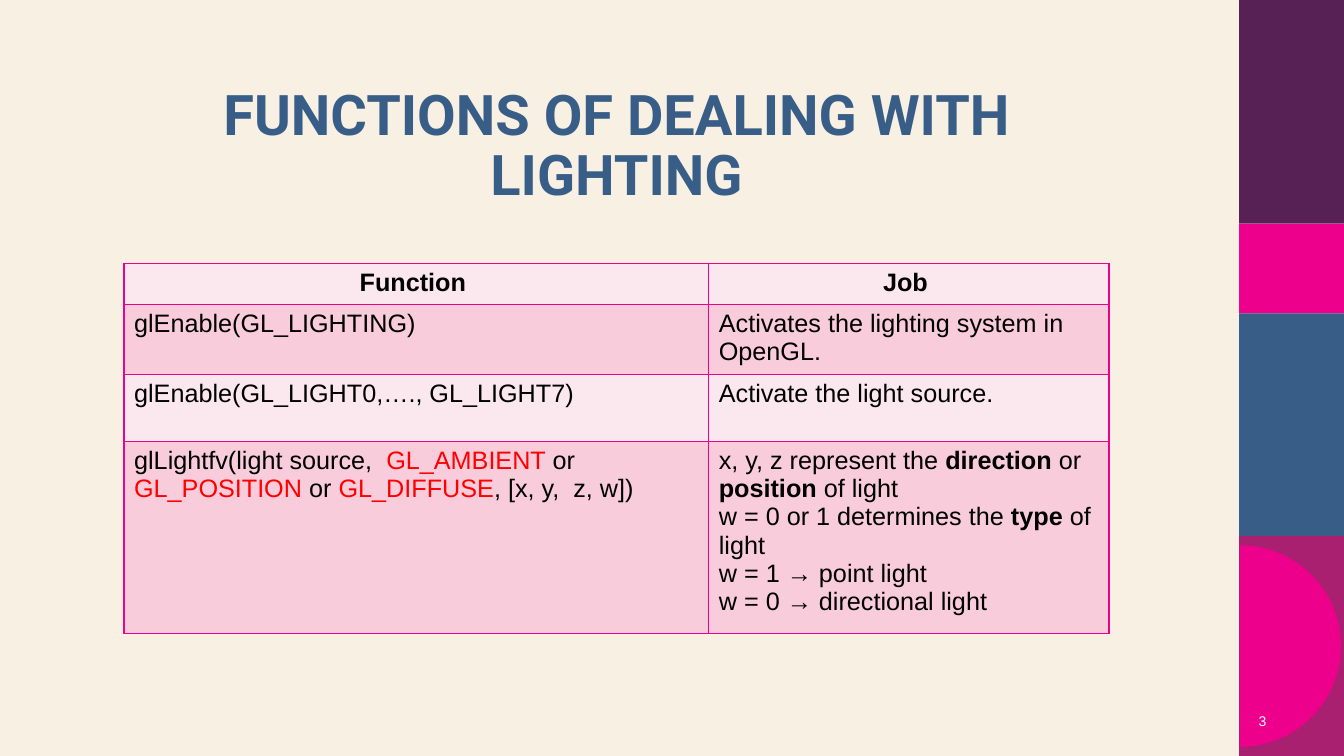
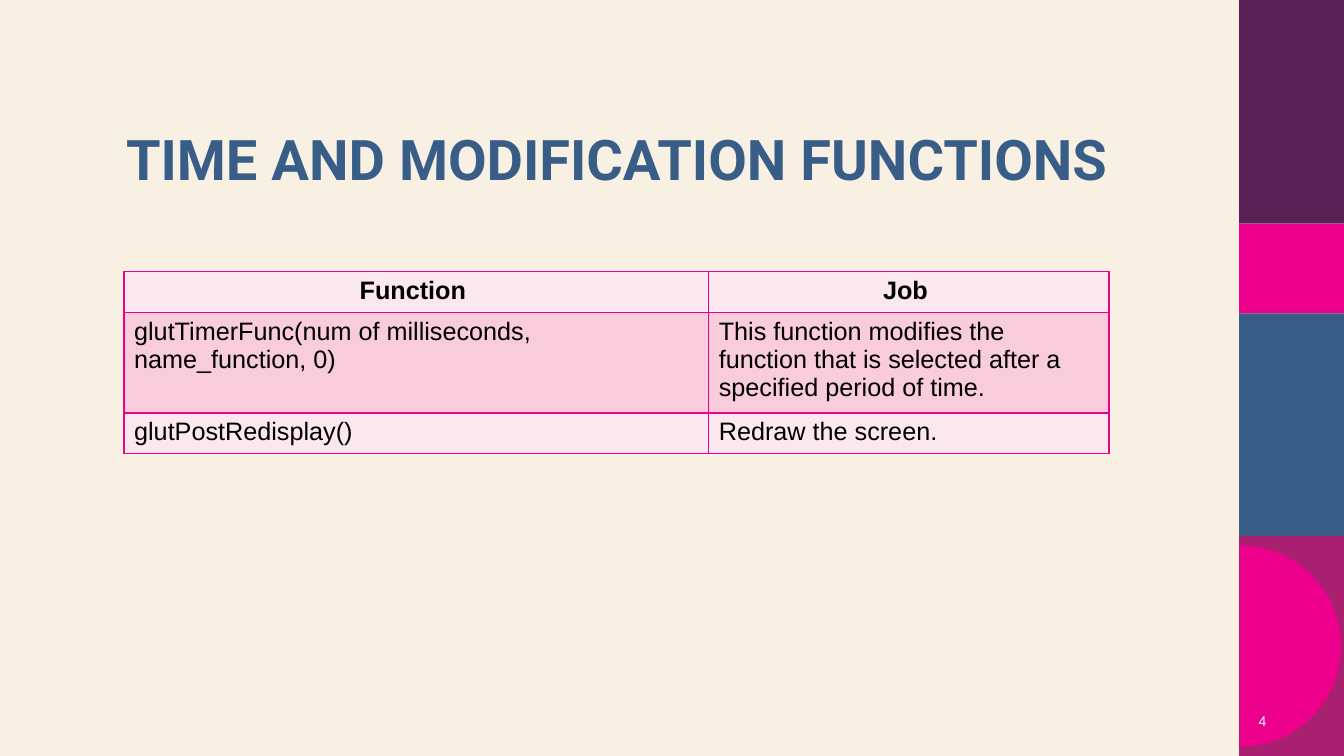
from math import cos, pi, sin

from lxml.etree import SubElement
from pptx import Presentation
from pptx.dml.color import RGBColor
from pptx.enum.shapes import MSO_SHAPE as Shape
from pptx.enum.text import MSO_ANCHOR as Anchor, MSO_AUTO_SIZE as AutoSize, PP_ALIGN as Align
from pptx.oxml.ns import qn
from pptx.util import Inches, Pt

WIDTH, HEIGHT = Inches(13.33), Inches(7.5)
CREAM, BLACK, WHITE, RED = "F8F0E3", "000000", "FFFFFF", "FF0000"
PINK, BLUE, PLUM, BERRY = "EC008C", "385E88", "582156", "AA2070"
ROW_FILLS = ["FBE7EE", "F8CCDA"]

# Side bands as (top, colour), in percent of the slide's height
BAND_LEFT = 92.2
BANDS = [(0, PLUM), (29.6, PINK), (41.47, BLUE), (70.9, BERRY)]
COLUMNS = [43.51, 29.78]
TITLE_FORMAT = {"name": "Roboto", "size": Pt(40), "bold": True}
NUMBER_FORMAT = {"name": "Arial", "size": Pt(10), "bold": False}
CELL_FORMAT = {"name": "Arial", "size": Pt(18)}

# Bars enclose emphasis: red in the function column, bold in the job column
PAGES = [
    {
        "title": "FUNCTIONS OF DEALING WITH LIGHTING",
        "title_top": 10.8, "title_height": 19.87, "table_top": 34.85,
        "rows": [
            (5.4, "Function ", "Job "),
            (8.82, "glEnable(GL_LIGHTING)", "Activates the lighting system in OpenGL."),
            (8.82, "glEnable(GL_LIGHT0,…., GL_LIGHT7)", "Activate the light source."),
            (23.7,
             "glLightfv(light source,  |GL_AMBIENT |or |GL_POSITION |or |GL_DIFFUSE|, [x, y,  z, w])",
             "x, y, z represent the |direction| or |position| of light\n"
             "w = 0 or 1 determines the |type |of light\n"
             "w = 1 → point light\n"
             "w = 0 → directional light"),
        ],
    },
    {
        "title": "TIME AND MODIFICATION FUNCTIONS",
        "title_top": 16.8, "title_height": 11.33, "table_top": 35.9,
        "rows": [
            (5.4, "Function ", "Job "),
            (12.6, "glutTimerFunc(num of milliseconds, name_function, 0)",
             "This function modifies the function that is selected after a specified period of time."),
            (5.4, "glutPostRedisplay()", "Redraw the screen."),
        ],
    },
]


def place(left, top, width, height):
    """Turn percentages of the slide into lengths."""
    return (int(WIDTH * left / 100), int(HEIGHT * top / 100),
            int(WIDTH * width / 100), int(HEIGHT * height / 100))


def add_spans(para, text, color, font_format, emphasis=None):
    """Write text as runs; every second part between bars is emphasised."""
    for index, part in enumerate(text.split("|")):
        span = para.add_run()
        span.text = part
        look = {**font_format, **(emphasis if emphasis and index % 2 else {})}
        span.font.color.rgb = RGBColor.from_string(look.pop("color", color))
        for name, value in look.items():
            setattr(span.font, name, value)


deck = Presentation()
deck.slide_width, deck.slide_height = WIDTH, HEIGHT
background = deck.slide_master.background.fill
background.solid()
background.fore_color.rgb = RGBColor.from_string(CREAM)

for number, content in enumerate(PAGES, start=3):
    page = deck.slides.add_slide(deck.slide_layouts[5])

    # Side bands, each reaching down to the next
    ornaments = []
    bottoms = [top for top, _ in BANDS[1:]] + [100]
    for (top, color), bottom in zip(BANDS, bottoms):
        area = place(BAND_LEFT, top, 100 - BAND_LEFT, bottom - top)
        ornaments.append((page.shapes.add_shape(Shape.RECTANGLE, *area), color))

    # Half disc on the lowest band
    center_x, center_y, radius = Inches(12.3), Inches(6.41), Inches(1)
    arc = [(center_x + radius * cos(angle), center_y + radius * sin(angle))
           for angle in (pi * (step / 60 - 0.5) for step in range(61))]
    outline = page.shapes.build_freeform(*map(round, arc[0]))
    outline.add_line_segments(arc[1:], close=True)
    ornaments.append((outline.convert_to_shape(), PINK))

    for shape, color in ornaments:
        shape.shadow.inherit = False
        shape.fill.solid()
        shape.fill.fore_color.rgb = RGBColor.from_string(color)
        shape.line.fill.background()

    # Title
    title = page.shapes.title
    title.left, title.top, title.width, title.height = place(
        7.35, content["title_top"], 77.04, content["title_height"])
    frame = title.text_frame
    frame.auto_size, frame.vertical_anchor, frame.word_wrap = AutoSize.NONE, Anchor.TOP, True
    para = frame.paragraphs[0]
    para.alignment, para.line_spacing = Align.CENTER, 0.9
    add_spans(para, content["title"], BLUE, TITLE_FORMAT)

    # Page number
    frame = page.shapes.add_textbox(*place(91.22, 92.67, 3.75, 5.33)).text_frame
    frame.word_wrap, frame.vertical_anchor = True, Anchor.MIDDLE
    para = frame.paragraphs[0]
    para.alignment = Align.RIGHT
    add_spans(para, str(number), WHITE, NUMBER_FORMAT)

    # Table of functions
    rows = content["rows"]
    area = place(9.23, content["table_top"], sum(COLUMNS), sum(row[0] for row in rows))
    table = page.shapes.add_table(len(rows), len(COLUMNS), *area).table
    for column, share in zip(table.columns, COLUMNS):
        column.width = int(WIDTH * share / 100)
    for row_index, (share, *texts) in enumerate(rows):
        table.rows[row_index].height = int(HEIGHT * share / 100)
        for column_index, text in enumerate(texts):
            cell = table.cell(row_index, column_index)
            properties = cell._tc.get_or_add_tcPr()
            for side in ("lnL", "lnR", "lnT", "lnB"):
                border = SubElement(properties, qn(f"a:{side}"), w=str(Pt(1)))
                fill = SubElement(border, qn("a:solidFill"))
                SubElement(fill, qn("a:srgbClr"), val=PINK)
            cell.fill.solid()
            cell.fill.fore_color.rgb = RGBColor.from_string(ROW_FILLS[row_index % 2])
            emphasis = {"bold": True} if column_index else {"color": RED}
            look = {**CELL_FORMAT, "bold": row_index == 0}
            for line_index, line in enumerate(text.split("\n")):
                frame = cell.text_frame
                para = frame.add_paragraph() if line_index else frame.paragraphs[0]
                para.alignment = Align.LEFT if row_index else Align.CENTER
                add_spans(para, line, BLACK, look, emphasis)

deck.save("out.pptx")
